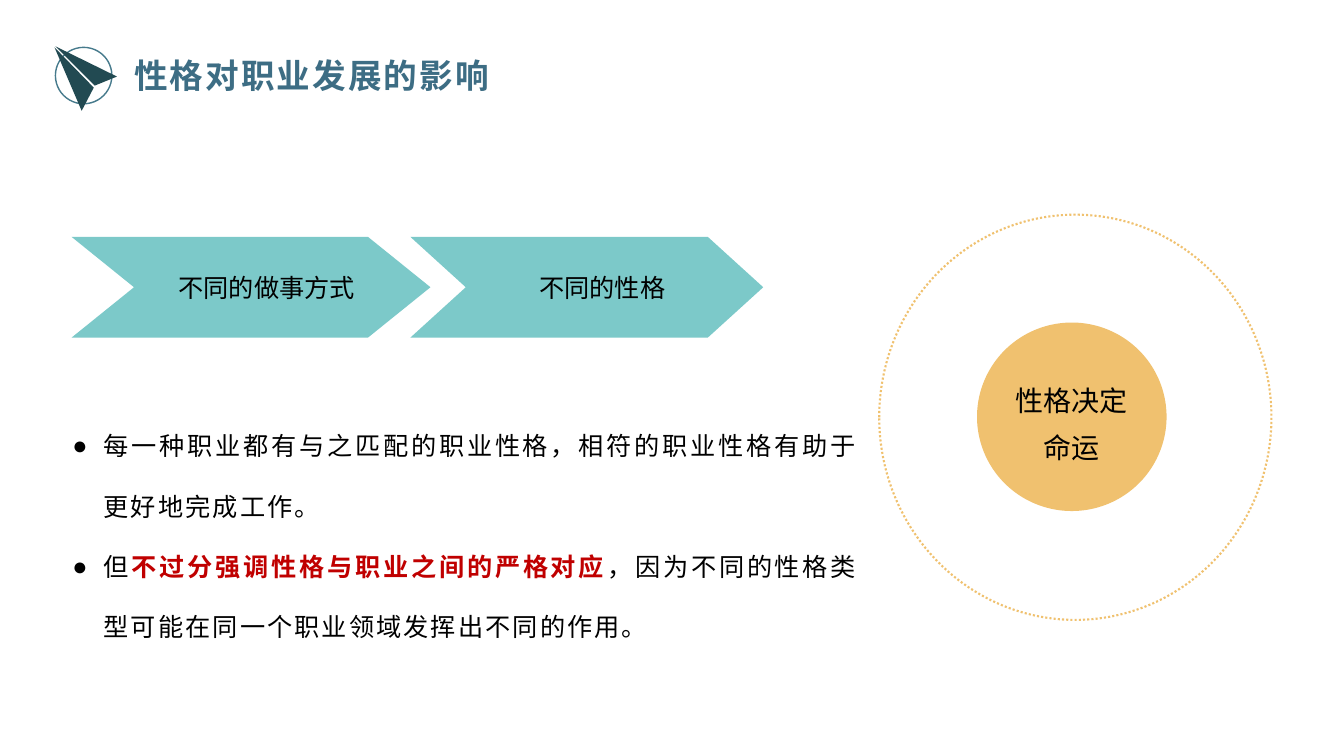
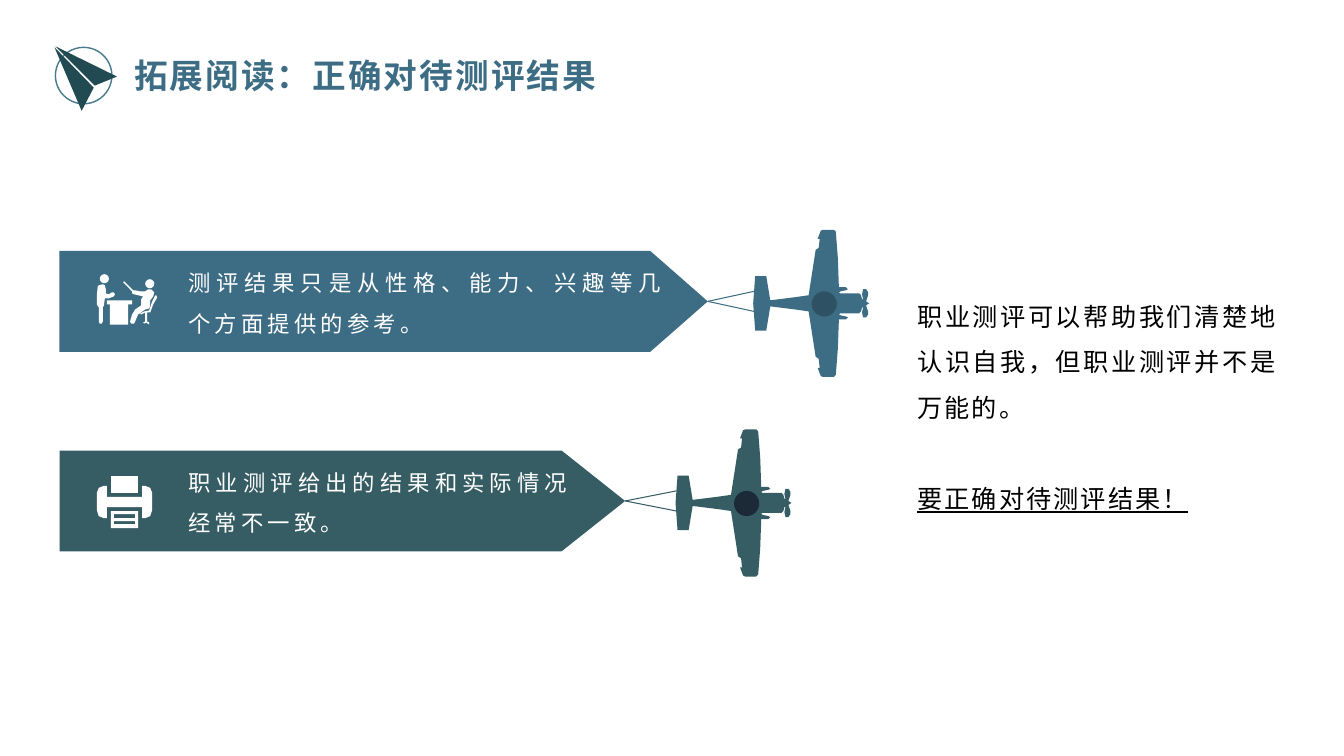
from dataclasses import dataclass

from lxml import etree
from pptx import Presentation
from pptx.dml.color import RGBColor
from pptx.enum.dml import MSO_LINE
from pptx.enum.shapes import MSO_CONNECTOR, MSO_SHAPE
from pptx.enum.text import MSO_ANCHOR, MSO_AUTO_SIZE, PP_ALIGN
from pptx.oxml.ns import qn
from pptx.util import Inches, Pt

FONT = "Noto Sans CJK SC"
BULLET_FONT = "Arial"
TITLE_ONLY = 5
OVAL = MSO_SHAPE.OVAL
CHEVRON = MSO_SHAPE.CHEVRON
PENTAGON = MSO_SHAPE.PENTAGON
STRAIGHT = MSO_CONNECTOR.STRAIGHT
DOTTED = MSO_LINE.ROUND_DOT
TOP, MIDDLE, BOTTOM = MSO_ANCHOR.TOP, MSO_ANCHOR.MIDDLE, MSO_ANCHOR.BOTTOM
LEFT, CENTER, JUSTIFY = PP_ALIGN.LEFT, PP_ALIGN.CENTER, PP_ALIGN.JUSTIFY

COLORS = {
    "blue": "3D6D84",
    "ring": "467A8C",
    "navy": "224A52",
    "teal": "7CC9C9",
    "gold": "F0C16F",
    "green": "365D64",
    "blue_cockpit": "2E5263",
    "green_cockpit": "1B2A36",
    "red": "C00000",
    "black": "000000",
    "white": "FFFFFF",
}

Box = tuple[float, float, float, float]
Points = list[tuple[float, float]]


@dataclass(frozen=True)
class Step:
    text: str
    box: Box
    point: float


@dataclass(frozen=True)
class Banner:
    text: str
    top: float
    width: float
    point: float
    text_width: float
    plane_left: float
    color: str
    cockpit: str


STEPS = [
    Step("不同的做事方式", (0.71, 2.35, 3.56, 1), 0.62),
    Step("不同的性格", (4.07, 2.35, 3.5, 1), 0.55),
]

BANNERS = [
    Banner("测评结果只是从性格、能力、兴趣等几个方面提供的参考。",
           2.49, 6.43, 0.57, 4.93, 7.47, "blue", "blue_cockpit"),
    Banner("职业测评给出的结果和实际情况经常不一致。",
           4.47, 5.61, 0.63, 4, 6.7, "green", "green_cockpit"),
]
BANNER_LEFT, BANNER_HEIGHT = 0.59, 1

TITLE_DART = [
    [(1.16, 0.76), (0.94, 0.85), (0.55, 0.46)],
    [(0.93, 0.87), (0.81, 1.1), (0.54, 0.47)],
]

HALF_PLANE = [
    (1.15, 0), (1.12, 0.02), (1.14, 0.08), (1.14, 0.11), (1.12, 0.14),
    (1.09, 0.14), (1.08, 0.09), (1.09, 0.04), (1.08, 0.04), (1.07, 0.08),
    (1.05, 0.1), (0.86, 0.1), (0.85, 0.11), (0.87, 0.12), (0.92, 0.13),
    (0.94, 0.14), (0.92, 0.16), (0.85, 0.16), (0.84, 0.45), (0.82, 0.71),
    (0.8, 0.73), (0.69, 0.73), (0.67, 0.72), (0.64, 0.64), (0.66, 0.64),
    (0.65, 0.55), (0.62, 0.53), (0.55, 0.08), (0.41, 0.06), (0.17, 0.03),
    (0.13, 0.27), (0.02, 0.27), (0, 0),
]

DESK = [(1.06, 2.98), (1.31, 2.98), (1.31, 3.02), (1.27, 3.02),
        (1.27, 3.22), (1.09, 3.22), (1.09, 3.02), (1.06, 3.02)]
CHAIR = [
    (1.55, 2.93), (1.54, 2.93), (1.51, 2.99), (1.48, 3.08), (1.43, 3.09),
    (1.39, 3.11), (1.4, 3.12), (1.44, 3.1), (1.44, 3.19), (1.42, 3.2),
    (1.43, 3.21), (1.45, 3.2), (1.48, 3.22), (1.48, 3.2), (1.46, 3.19),
    (1.46, 3.1), (1.49, 3.1), (1.52, 3.02), (1.56, 2.95),
]
STANDING_BODY = [
    (1.11, 2.9), (1.08, 2.92), (1.05, 2.91), (1.05, 2.87), (1.04, 2.83),
    (1.02, 2.82), (0.98, 2.83), (0.97, 2.84), (0.96, 2.93), (0.96, 3.02),
    (0.98, 3.05), (0.98, 3.19), (0.99, 3.21), (1.01, 3.21), (1.02, 3.19),
    (1.02, 3.04), (1.03, 3.04), (1.04, 2.96), (1.08, 2.96), (1.13, 2.94),
    (1.14, 2.92), (1.13, 2.9),
]
SEATED_BODY = [
    (1.49, 3.03), (1.49, 2.98), (1.52, 2.94), (1.53, 2.9), (1.5, 2.87),
    (1.47, 2.87), (1.44, 2.89), (1.39, 2.89), (1.34, 2.88), (1.32, 2.88),
    (1.23, 2.79), (1.22, 2.8), (1.31, 2.89), (1.31, 2.91), (1.33, 2.92),
    (1.42, 2.94), (1.4, 2.97), (1.4, 3.03), (1.34, 3.07), (1.31, 3.12),
    (1.29, 3.19), (1.3, 3.21), (1.33, 3.21), (1.34, 3.19), (1.37, 3.12),
    (1.44, 3.07), (1.48, 3.06),
]
HEADS = [(0.99, 2.72, 0.09, 0.09), (1.44, 2.77, 0.09, 0.09)]


def rectangle(left: float, top: float, right: float, bottom: float) -> Points:
    return [(left, top), (right, top), (right, bottom), (left, bottom)]


PRINTER_BODY = [
    (1.44, 4.82), (1.41, 4.82), (1.41, 4.93), (1.06, 4.93), (1.06, 4.82),
    (1.03, 4.82), (0.98, 4.84), (0.96, 4.89), (0.96, 5.06), (0.98, 5.12),
    (1.03, 5.14), (1.06, 5.14), (1.06, 5.03), (1.41, 5.03), (1.41, 5.14),
    (1.44, 5.14), (1.49, 5.12), (1.51, 5.06), (1.51, 4.89), (1.49, 4.84),
]
PRINTED_PAGE = [rectangle(1.1, 5.07, 1.37, 5.24),
                rectangle(1.13, 5.1, 1.34, 5.14),
                rectangle(1.13, 5.17, 1.34, 5.2)]
ICON_OUTLINES = [[DESK], [CHAIR], [STANDING_BODY], [SEATED_BODY], PRINTED_PAGE,
                 [rectangle(1.1, 4.72, 1.37, 4.89)], [PRINTER_BODY]]


def rgb(color: str) -> RGBColor:
    return RGBColor.from_string(COLORS[color])


def add_run(paragraph, text: str, *, size: float = 18, color: str = "black",
            bold: bool = False, underline: bool = False, spacing: float = 0) -> None:
    run = paragraph.add_run()
    run.text = text
    font = run.font
    font.size, font.bold, font.name = Pt(size), bold, FONT
    font.color.rgb = rgb(color)
    if underline:
        font.underline = True
    properties = run._r.get_or_add_rPr()
    properties.set("spc", str(int(spacing * 100)))
    etree.SubElement(properties, qn("a:ea")).set("typeface", FONT)


def add_bullet(paragraph) -> None:
    properties = paragraph._p.get_or_add_pPr()
    properties.set("marL", str(Inches(0.31)))
    properties.set("indent", str(-Inches(0.31)))
    etree.SubElement(properties, qn("a:buFont")).set("typeface", BULLET_FONT)
    etree.SubElement(properties, qn("a:buChar")).set("char", "●")


def format_frame(frame, anchor, insets: Box = (0.1, 0.05, 0.1, 0.05)):
    frame.word_wrap = True
    frame.auto_size = MSO_AUTO_SIZE.NONE
    frame.vertical_anchor = anchor
    (frame.margin_left, frame.margin_top,
     frame.margin_right, frame.margin_bottom) = map(Inches, insets)
    return frame


def add_text_box(slide, box: Box, anchor, insets: Box = (0.1, 0.05, 0.1, 0.05)):
    shape = slide.shapes.add_textbox(*map(Inches, box))
    return format_frame(shape.text_frame, anchor, insets)


def next_paragraph(frame, alignment, line_spacing: float, first: bool = True):
    paragraph = frame.paragraphs[0] if first else frame.add_paragraph()
    paragraph.alignment = alignment
    paragraph.line_spacing = line_spacing
    return paragraph


def paint(shape, fill: str | None, line: str | None = None, width: float = 1):
    shape.shadow.inherit = False
    if fill:
        shape.fill.solid()
        shape.fill.fore_color.rgb = rgb(fill)
    else:
        shape.fill.background()
    if line:
        shape.line.color.rgb = rgb(line)
        shape.line.width = Pt(width)
    else:
        shape.line.fill.background()
    return shape


def add_preset(slide, kind, box: Box, fill: str | None,
               line: str | None = None, width: float = 1):
    shape = slide.shapes.add_shape(kind, *map(Inches, box))
    return paint(shape, fill, line, width)


def add_outline(slide, contours: list[Points], fill: str) -> None:
    builder = None
    for contour in contours:
        start, *rest = [(Inches(x), Inches(y)) for x, y in contour]
        if builder is None:
            builder = slide.shapes.build_freeform(*start)
        else:
            builder.move_to(*start)
        builder.add_line_segments(rest, close=True)
    paint(builder.convert_to_shape(), fill)


def add_line(slide, start: tuple[float, float], end: tuple[float, float],
             color: str) -> None:
    connector = slide.shapes.add_connector(STRAIGHT, *map(Inches, start + end))
    connector.line.color.rgb = rgb(color)
    connector.line.width = Pt(0.75)
    etree.SubElement(connector._element.spPr, qn("a:effectLst"))


def add_titled_slide(presentation, text: str):
    slide = presentation.slides.add_slide(presentation.slide_layouts[TITLE_ONLY])
    title = slide.shapes.title
    title.left, title.top, title.width, title.height = map(Inches, (1.23, 0.49, 6.67, 0.5))
    frame = format_frame(title.text_frame, MIDDLE)
    paragraph = next_paragraph(frame, LEFT, 1)
    add_run(paragraph, text, size=24, color="blue", bold=True, spacing=1.5)
    add_preset(slide, OVAL, (0.55, 0.47, 0.56, 0.56), None, "ring")
    add_outline(slide, TITLE_DART, "navy")
    return slide


def add_step(slide, step: Step) -> None:
    shape = add_preset(slide, CHEVRON, step.box, "teal")
    shape.adjustments[0] = step.point
    frame = format_frame(shape.text_frame, MIDDLE, (0.31, 0, 0, 0))
    add_run(next_paragraph(frame, CENTER, 1), step.text)


def add_banner(slide, banner: Banner) -> None:
    axis = banner.top + BANNER_HEIGHT / 2
    shape = add_preset(slide, PENTAGON,
                       (BANNER_LEFT, banner.top, banner.width, BANNER_HEIGHT), banner.color)
    shape.adjustments[0] = banner.point
    for offset in (-0.1, 0.1):
        add_line(slide, (BANNER_LEFT + banner.width, axis),
                 (banner.plane_left + 0.01, axis + offset), banner.color)
    plane_axis = axis + 0.02
    upper = [(banner.plane_left + x, plane_axis - y) for x, y in HALF_PLANE]
    lower = [(banner.plane_left + x, plane_axis + y) for x, y in HALF_PLANE[-2:0:-1]]
    add_outline(slide, [upper + lower], banner.color)
    add_preset(slide, OVAL, (banner.plane_left + 0.58, plane_axis - 0.12, 0.25, 0.25),
               banner.cockpit)
    frame = add_text_box(slide, (1.77, banner.top - 0.13, banner.text_width, 0.98),
                         BOTTOM, (0.1, 0.05, 0.1, 0))
    add_run(next_paragraph(frame, JUSTIFY, 1.5), banner.text,
            size=16, color="white", spacing=3)


def build_personality_slide(presentation) -> None:
    slide = add_titled_slide(presentation, "性格对职业发展的影响")
    for step in STEPS:
        add_step(slide, step)
    ring = add_preset(slide, OVAL, (8.72, 2.13, 3.89, 4.02), None, "gold", 1.5)
    ring.line.dash_style = DOTTED
    disc = add_preset(slide, OVAL, (9.69, 3.2, 1.88, 1.87), "gold")
    frame = format_frame(disc.text_frame, MIDDLE, (0, 0, 0, 0))
    add_run(next_paragraph(frame, CENTER, 1.4), "性格决定命运", size=20)

    frame = add_text_box(slide, (0.62, 3.92, 7.99, 2.89), TOP)
    bullets = [
        [("每一种职业都有与之匹配的职业性格，相符的职业性格有助于更好地完成工作。", False)],
        [("但", False), ("不过分强调性格与职业之间的严格对应", True),
         ("，因为不同的性格类型可能在同一个职业领域发挥出不同的作用。", False)],
    ]
    for index, parts in enumerate(bullets):
        paragraph = next_paragraph(frame, JUSTIFY, 2, first=index == 0)
        add_bullet(paragraph)
        for text, strong in parts:
            add_run(paragraph, text, color="red" if strong else "black",
                    bold=strong, spacing=1.5)


def build_assessment_slide(presentation) -> None:
    slide = add_titled_slide(presentation, "拓展阅读：正确对待测评结果")
    for banner in BANNERS:
        add_banner(slide, banner)
    for contours in ICON_OUTLINES:
        add_outline(slide, contours, "white")
    for head in HEADS:
        add_preset(slide, OVAL, head, "white")

    frame = add_text_box(slide, (9, 3.42, 3.77, 1.09), MIDDLE)
    add_run(next_paragraph(frame, JUSTIFY, 1.5),
            "职业测评可以帮助我们清楚地认识自我，但职业测评并不是万能的。", spacing=1.5)
    conclusion = next_paragraph(frame, JUSTIFY, 1.5, first=False)
    conclusion.space_before = Pt(32.5)
    add_run(conclusion, "要正确对待测评结果！", underline=True, spacing=1.5)


def main() -> None:
    presentation = Presentation()
    presentation.slide_width, presentation.slide_height = Inches(13.33), Inches(7.5)
    build_personality_slide(presentation)
    build_assessment_slide(presentation)
    presentation.save("out.pptx")


if __name__ == "__main__":
    main()
